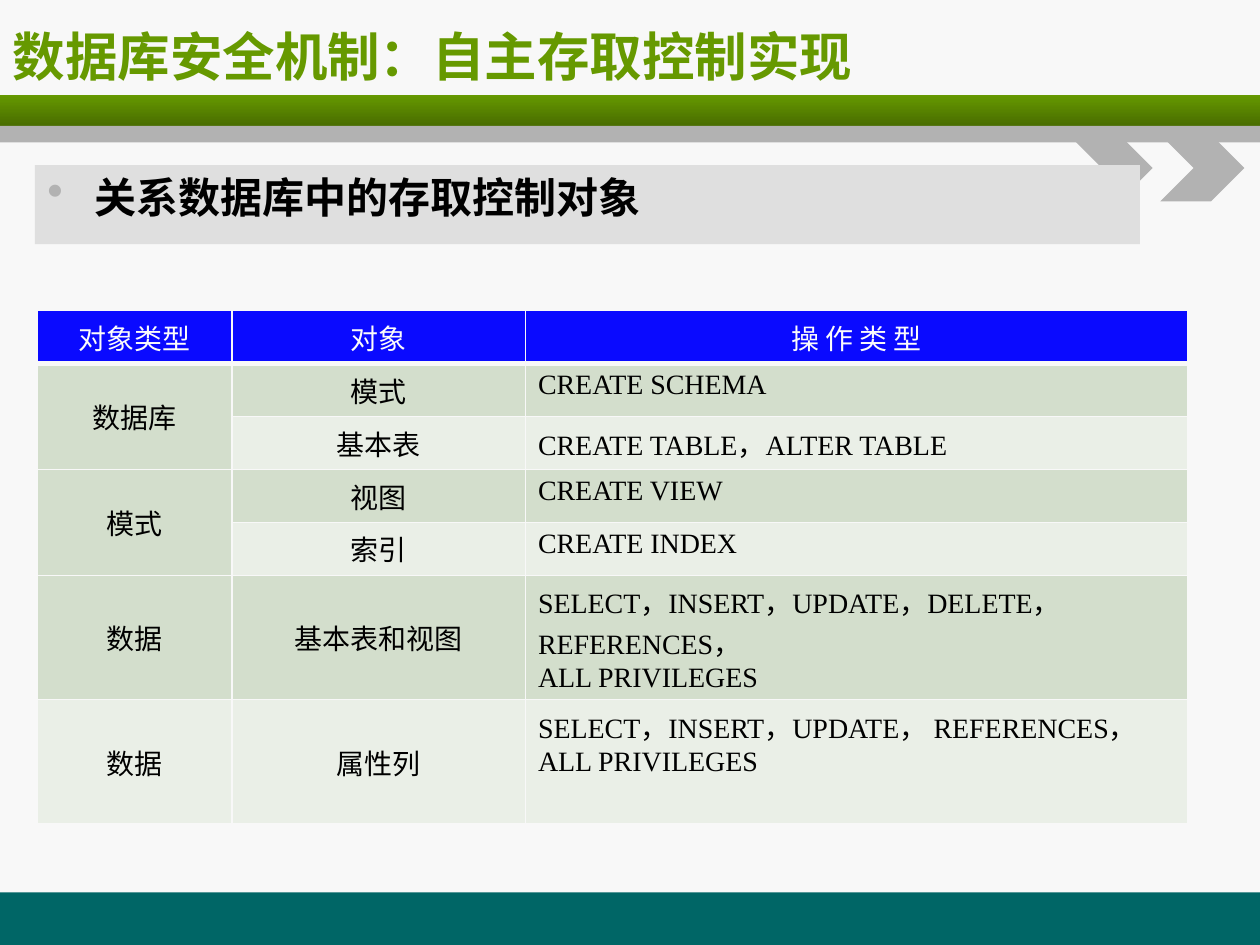
from typing import NamedTuple

from lxml import etree
from pptx import Presentation
from pptx import util as u
from pptx.dml.color import RGBColor
from pptx.enum import shapes, text
from pptx.oxml import ns

Pt = u.Pt
KIND = shapes.MSO_SHAPE
CENTER, LEFT = text.PP_ALIGN.CENTER, text.PP_ALIGN.LEFT
MIDDLE, TOP = text.MSO_ANCHOR.MIDDLE, text.MSO_ANCHOR.TOP

PAPER = RGBColor(0xF8, 0xF8, 0xF8)
TEAL = RGBColor(0x00, 0x66, 0x66)
GREEN = RGBColor(0x66, 0x99, 0x00)
MOSS = RGBColor(0x49, 0x6D, 0x00)
GREY = RGBColor(0xB2, 0xB2, 0xB2)
PALE = RGBColor(0xDF, 0xDF, 0xDF)
BLUE = RGBColor(0x0A, 0x0A, 0xFF)
WHITE = RGBColor(0xFB, 0xFB, 0xFB)
BLACK = RGBColor(0, 0, 0)
SAGE = RGBColor(0xD3, 0xDE, 0xCC)
MIST = RGBColor(0xEA, 0xEF, 0xE7)
SANS, SERIF = "DejaVu Sans", "Times New Roman"
INDENT = 27


class Box(NamedTuple):
    left: float
    top: float
    width: float
    height: float
    color: RGBColor
    kind: KIND = KIND.RECTANGLE


class Row(NamedTuple):
    cells: tuple
    height: float
    color: RGBColor
    anchor: text.MSO_ANCHOR = TOP


FOOT = Box(0, 510, 720, 30, TEAL)
BAND = Box(0, 54, 720, 18, GREEN)
STRIP = Box(0, 72, 720, 9.4, GREY)
ARROWS = [Box(x, 77, 48, 38, GREY, KIND.CHEVRON) for x in (610.6, 663.1)]
PANEL = Box(20, 94.3, 631.4, 45.2, PALE)

COLS = (111.4, 167.8, 378.5)
ROWS = (
    Row(("对象类型", "对象", "操 作 类 型"), 29.5, BLUE),
    Row(("数据库", "模式", "CREATE SCHEMA"), 29.5, SAGE),
    Row(("", "基本表", "CREATE TABLE，ALTER TABLE"), 29.5, MIST),
    Row(("模式", "视图", "CREATE VIEW"), 29.5, SAGE),
    Row(("", "索引", "CREATE INDEX"), 29.5, MIST),
    Row(("数据", "基本表和视图",
         "SELECT，INSERT，UPDATE，DELETE，\nREFERENCES，\nALL PRIVILEGES"),
        71, SAGE, MIDDLE),
    Row(("数据", "属性列",
         "SELECT，INSERT，UPDATE， REFERENCES，\nALL PRIVILEGES"),
        71, MIST, MIDDLE),
)


def draw(slide, box: Box):
    shape = slide.shapes.add_shape(box.kind, *map(Pt, box[:4]))
    shape.shadow.inherit = False
    shape.fill.solid()
    shape.fill.fore_color.rgb = box.color
    shape.line.fill.background()
    return shape


def style(para, face: str, size: float, color: RGBColor, bold: bool) -> None:
    font = para.font
    font.name, font.size, font.bold = face, Pt(size), bold
    font.color.rgb = color


def hang(para) -> None:
    props = para._p.get_or_add_pPr()
    props.set("marL", str(Pt(INDENT)))
    props.set("indent", str(-Pt(INDENT)))


def dot(para) -> None:
    props = para._p.get_or_add_pPr()
    tint = etree.SubElement(props, ns.qn("a:buClr"))
    etree.SubElement(tint, ns.qn("a:srgbClr"), val=str(GREY))
    etree.SubElement(props, ns.qn("a:buSzPct"), val="110000")
    etree.SubElement(props, ns.qn("a:buChar"), char="•")


def edge(cell, base: float) -> None:
    props = cell._tc.get_or_add_tcPr()
    for side, width in (("L", 1), ("R", 1), ("T", 1), ("B", base)):
        line = etree.SubElement(props, ns.qn("a:ln" + side), w=str(Pt(width)))
        fill = etree.SubElement(line, ns.qn("a:solidFill"))
        etree.SubElement(fill, ns.qn("a:srgbClr"), val=str(PAPER))


def grid(slide) -> None:
    frame = slide.shapes.add_table(
        len(ROWS), len(COLS), Pt(21.1), Pt(177.4),
        Pt(sum(COLS)), Pt(sum(row.height for row in ROWS)))
    table = frame.table
    table.first_row = table.horz_banding = False
    for col, width in zip(table.columns, COLS):
        col.width = Pt(width)
    for r, row in enumerate(ROWS):
        table.rows[r].height = Pt(row.height)
        for c, words in enumerate(row.cells):
            cell = table.cell(r, c)
            edge(cell, 1 if r else 3)
            cell.fill.solid()
            cell.fill.fore_color.rgb = row.color
            cell.vertical_anchor = (
                MIDDLE if r and c == 0 else TOP if c == 2 else row.anchor)
            cell.text = words
            for para in cell.text_frame.paragraphs:
                hang(para)
                para.alignment = LEFT if r and c == 2 else CENTER
                style(para, SERIF, 16, BLACK if r else WHITE, False)
    # Each object type covers two rows
    for r in (1, 3):
        table.cell(r, 0).merge(table.cell(r + 1, 0))


def main() -> None:
    deck = Presentation()
    deck.slide_width, deck.slide_height = Pt(720), Pt(540)
    slide = deck.slides.add_slide(deck.slide_layouts[5])
    slide.background.fill.solid()
    slide.background.fill.fore_color.rgb = PAPER

    # Frame of the page
    draw(slide, FOOT)
    fill = draw(slide, BAND).fill
    fill.gradient()
    fill.gradient_angle = 270
    for stop, color in zip(fill.gradient_stops, (GREEN, MOSS)):
        stop.color.rgb = color
    for box in (STRIP, *ARROWS):
        draw(slide, box)

    # Title
    title = slide.shapes.title
    title.left, title.top, title.width, title.height = map(
        Pt, (0, 9.4, 582, 44.6))
    title.text_frame.text = "数据库安全机制：自主存取控制实现"
    title.text_frame.vertical_anchor = MIDDLE
    para = title.text_frame.paragraphs[0]
    para.alignment = LEFT
    style(para, SANS, 30, GREEN, True)

    # Topic
    body = draw(slide, PANEL).text_frame
    body.vertical_anchor = TOP
    body.text = "关系数据库中的存取控制对象"
    para = body.paragraphs[0]
    para.alignment = LEFT
    para.space_before = Pt(4.8)
    hang(para)
    dot(para)
    style(para, SANS, 24, BLACK, True)

    grid(slide)
    deck.save("out.pptx")


if __name__ == "__main__":
    main()
